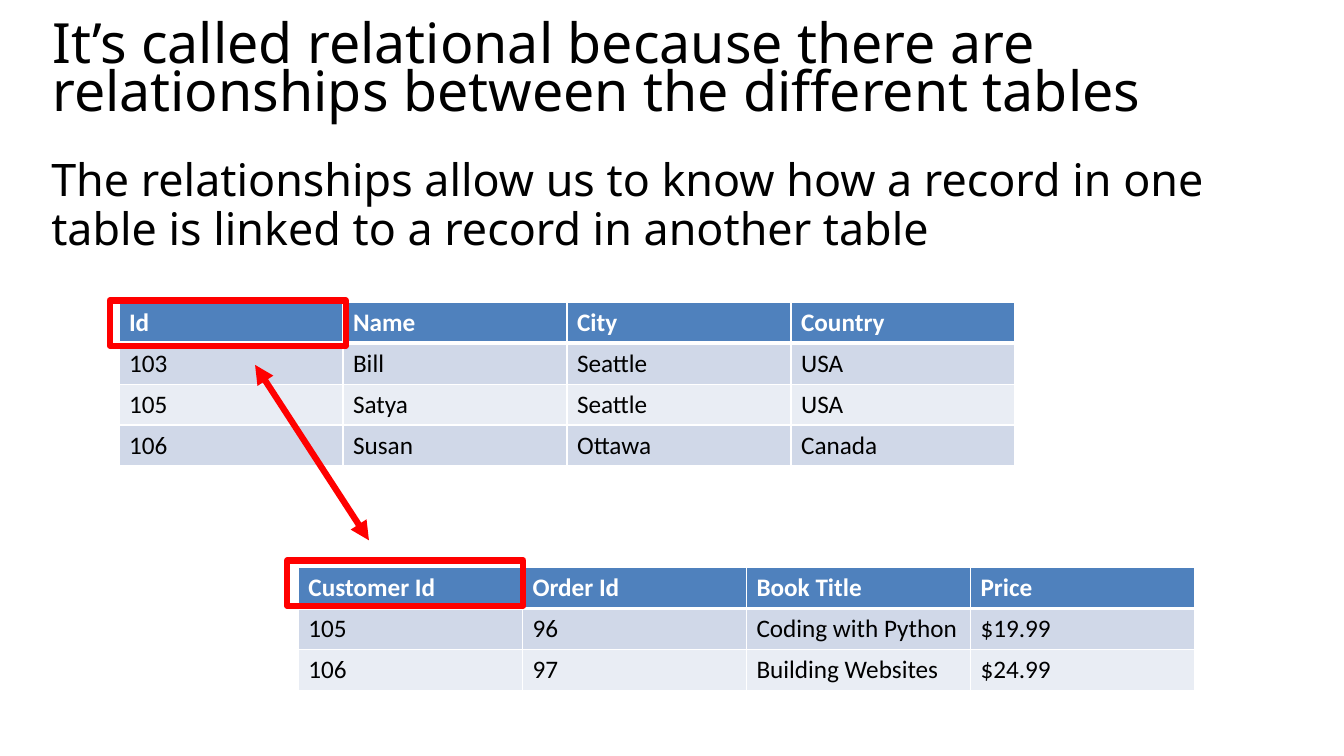
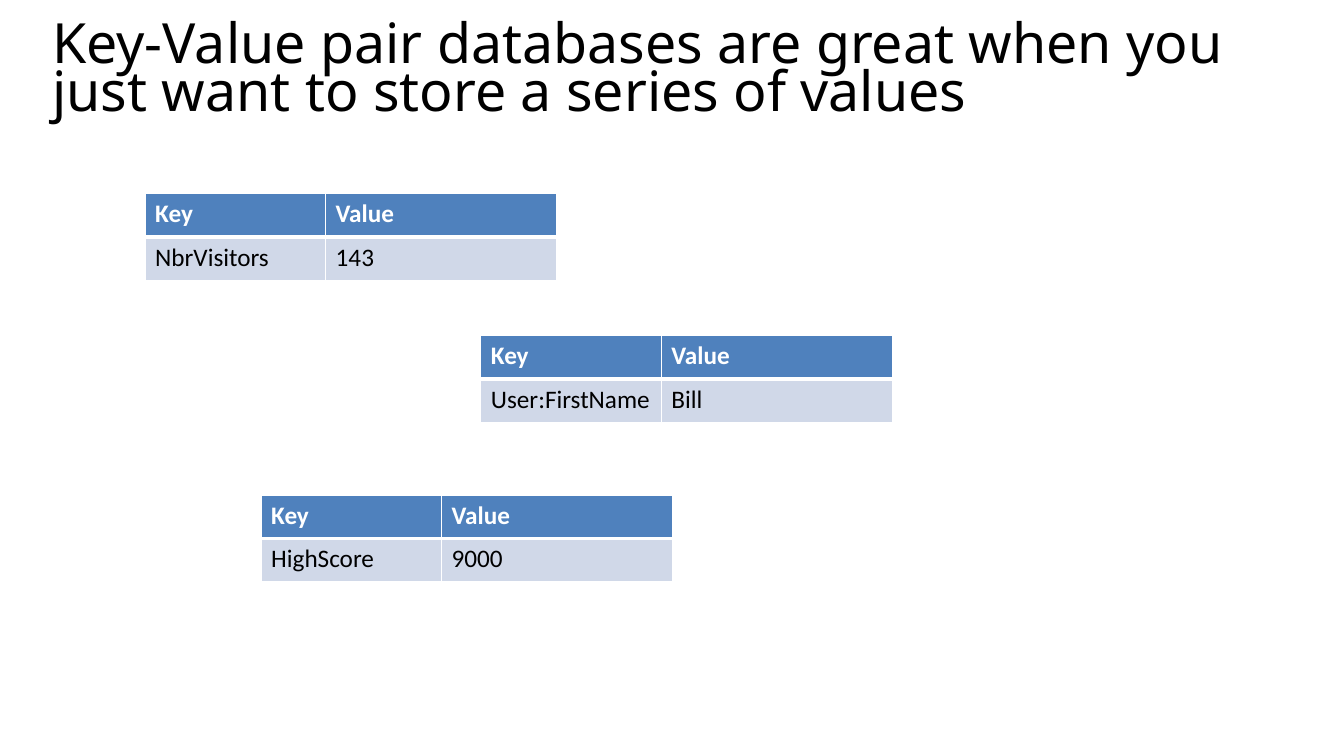
from lxml import etree
from pptx import Presentation
from pptx import util as u
from pptx.dml.color import RGBColor
from pptx.enum import shapes, text
from pptx.oxml import ns

COLORS = {"ink": "000000", "paper": "FFFFFF", "header": "4F81BD",
          "odd": "D0D8E8", "even": "E9EDF4", "accent": "FF0000"}
HEADING_FONT, TABLE_FONT = "Noto Sans", "Calibri"
WIDTH, HEIGHT = u.Inches(13.33), u.Inches(7.5)


class Deck:
    """Hold the shared style and the current slide; lengths are percent of the slide."""

    def __init__(self):
        self.deck = Presentation()
        self.deck.slide_width, self.deck.slide_height = WIDTH, HEIGHT
        self.slide = None

    def color(self, name):
        return RGBColor.from_string(COLORS[name])

    def x(self, share):
        return round(WIDTH * share / 100)

    def y(self, share):
        return round(HEIGHT * share / 100)

    def place(self, left, top, width, height):
        return self.x(left), self.y(top), self.x(width), self.y(height)

    def add_words(self, paragraph, words, size, font, color, bold=False):
        run = paragraph.add_run()
        run.text = words
        run.font.size, run.font.name, run.font.bold = u.Pt(size), font, bold
        run.font.color.rgb = self.color(color)

    def statement(self, words, place, size, line_spacing, space_before=0):
        frame = self.slide.shapes.add_textbox(*self.place(*place)).text_frame
        frame.word_wrap = True
        frame.vertical_anchor = text.MSO_ANCHOR.TOP
        paragraph = frame.paragraphs[0]
        paragraph.line_spacing = line_spacing
        paragraph.space_before = u.Pt(space_before)
        self.add_words(paragraph, words, size, HEADING_FONT, "ink")

    def titled_slide(self, title):
        self.slide = self.deck.slides.add_slide(self.deck.slide_layouts[6])
        self.statement(title, (3.15, 2.67, 94.5, 15.47), 39.6, 0.72)

    def body(self, words):
        self.statement(words, (3.08, 20.27, 94.5, 77.2), 32, 0.9, 14)

    def cell_borders(self, cell, top, bottom):
        properties = cell._tc.get_or_add_tcPr()
        for order, (side, points) in enumerate(
                (("L", 1), ("R", 1), ("T", top), ("B", bottom))):
            border = etree.Element(ns.qn(f"a:ln{side}"), w=str(u.Pt(points)))
            fill = etree.SubElement(border, ns.qn("a:solidFill"))
            etree.SubElement(fill, ns.qn("a:srgbClr"), val=COLORS["paper"])
            properties.insert(order, border)

    def records(self, left, top, columns, row_height, rows):
        table = self.slide.shapes.add_table(
            len(rows), len(columns),
            *self.place(left, top, sum(columns), row_height * len(rows))).table
        for column, width in zip(table.columns, columns):
            column.width = self.x(width)
        for number, values in enumerate(rows):
            is_header = number == 0
            band = "header" if is_header else "odd" if number % 2 else "even"
            table.rows[number].height = self.y(row_height)
            for position, value in enumerate(values):
                cell = table.cell(number, position)
                cell.fill.solid()
                cell.fill.fore_color.rgb = self.color(band)
                self.cell_borders(cell, 3 if number == 1 else 1, 3 if is_header else 1)
                self.add_words(cell.text_frame.paragraphs[0], value, 18, TABLE_FONT,
                               "paper" if is_header else "ink", is_header)

    def accent_line(self, line):
        line.color.rgb = self.color("accent")
        line.width = u.Pt(4.5)

    def key_frame(self, left, top):
        frame = self.slide.shapes.add_shape(
            shapes.MSO_SHAPE.RECTANGLE, *self.place(left, top, 17.55, 6))
        frame.shadow.inherit = False
        frame.fill.background()
        self.accent_line(frame.line)
        etree.SubElement(frame.line._get_or_add_ln(), ns.qn("a:round"))

    def relationship(self, start, end):
        arrow = self.slide.shapes.add_connector(
            shapes.MSO_CONNECTOR.STRAIGHT, self.x(start[0]), self.y(start[1]),
            self.x(end[0]), self.y(end[1]))
        self.accent_line(arrow.line)
        for tip in ("headEnd", "tailEnd"):
            etree.SubElement(arrow.line._get_or_add_ln(), ns.qn(f"a:{tip}"), type="triangle")
        etree.SubElement(arrow._element.spPr, ns.qn("a:effectLst"))


show = Deck()

show.titled_slide("It’s called relational because there are relationships "
                  "between the different tables")
show.body("The relationships allow us to know how a record in one table "
          "is linked to a record in another table")
customers = [("Id", "Name", "City", "Country"),
             ("103", "Bill", "Seattle", "USA"),
             ("105", "Satya", "Seattle", "USA"),
             ("106", "Susan", "Ottawa", "Canada")]
orders = [("Customer Id", "Order Id", "Book Title", "Price"),
          ("105", "96", "Coding with Python", "$19.99"),
          ("106", "97", "Building Websites", "$24.99")]
for left, top, rows in ((8.85, 40, customers), (22.2, 75.07, orders)):
    show.records(left, top, [16.67] * 4, 5.41, rows)
show.key_frame(8.18, 39.73)
show.relationship((18.98, 48.27), (27.45, 71.47))
show.key_frame(21.38, 74.13)

show.titled_slide("Key-Value pair databases are great when you just want "
                  "to store a series of values")
for left, top, key, value in ((10.8, 25.6, "NbrVisitors", "143"),
                              (35.78, 44.4, "User:FirstName", "Bill"),
                              (19.43, 65.47, "HighScore", "9000")):
    show.records(left, top, [13.43, 17.2], 5.76, [("Key", "Value"), (key, value)])

show.deck.save("out.pptx")
